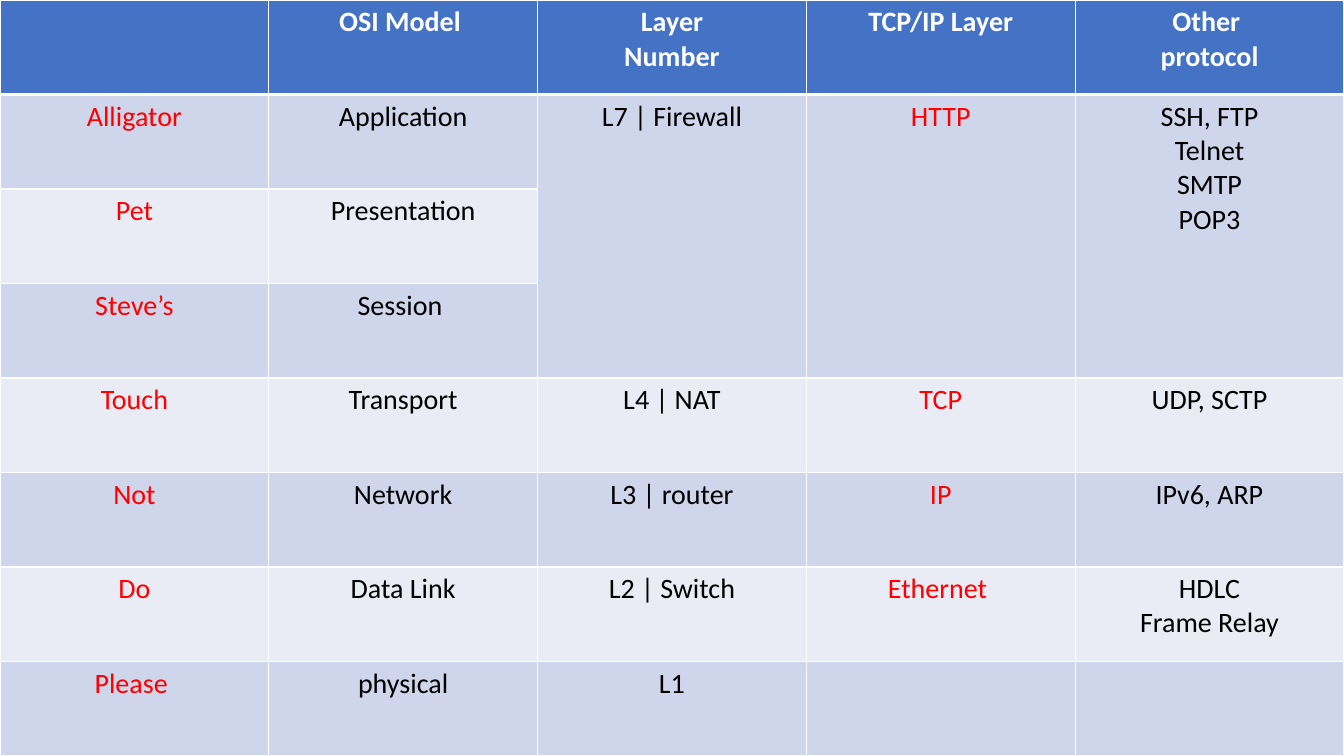
from lxml.etree import SubElement
from pptx import Presentation
from pptx.dml.color import RGBColor
from pptx.enum.text import PP_ALIGN
from pptx.oxml.ns import qn
from pptx.util import Pt

THEME = {
    "font": "Calibri", "size": 20,
    "head": "4472C4", "dark": "CFD5EA", "light": "E9EBF5",
    "white": "FFFFFF", "black": "000000", "red": "FF0000",
    "thin": 1, "thick": 3,
}
WIDTH, HEIGHT = 960, 540
RED_COLS = (0, 3)

ROWS = [
    ["", "OSI Model ", "Layer\nNumber", "TCP/IP Layer", "Other \nprotocol"],
    ["Alligator", "Application", "L7 | Firewall", "HTTP",
     "SSH, FTP\nTelnet\nSMTP\nPOP3"],
    ["Pet", "Presentation", "", "", ""],
    ["Steve’s", "Session ", "", "", ""],
    ["Touch", "Transport", "L4 | NAT", "TCP", "UDP, SCTP"],
    ["Not", "Network", "L3 | router", "IP", "IPv6, ARP"],
    ["Do", "Data Link", "L2 | Switch", "Ethernet ", "HDLC\nFrame Relay"],
    ["Please ", "physical", "L1", "", ""],
]


def color(name):
    """Return the theme color with this name."""
    return RGBColor.from_string(THEME[name])


def edge(cell, side, width):
    """Draw one white border on a cell; call before the fill is set."""
    line = SubElement(cell._tc.get_or_add_tcPr(), qn(f"a:ln{side}"),
                      w=str(Pt(width)))
    fill = SubElement(line, qn("a:solidFill"))
    SubElement(fill, qn("a:srgbClr"), val=THEME["white"])


deck = Presentation()
deck.slide_width, deck.slide_height = Pt(WIDTH), Pt(HEIGHT)
slide = deck.slides.add_slide(deck.slide_layouts[6])

count = len(ROWS[0])
table = slide.shapes.add_table(len(ROWS), count, Pt(0), Pt(0),
                               Pt(WIDTH), Pt(HEIGHT)).table
for col in table.columns:
    col.width = Pt(WIDTH / count)
for row in table.rows:
    row.height = Pt(HEIGHT / len(ROWS))

# The top three OSI layers share one cell in each right-hand column
for c in range(2, count):
    table.cell(1, c).merge(table.cell(3, c))

for r, row in enumerate(ROWS):
    for c, text in enumerate(row):
        cell = table.cell(r, c)
        for side in "LRTB":
            under = (r, side) in ((0, "B"), (1, "T"))
            edge(cell, side, THEME["thick" if under else "thin"])
        band = "head" if r == 0 else "dark" if r % 2 else "light"
        cell.fill.solid()
        cell.fill.fore_color.rgb = color(band)

        cell.text_frame.text = text
        ink = "white" if r == 0 else "red" if c in RED_COLS else "black"
        for para in cell.text_frame.paragraphs:
            para.alignment = PP_ALIGN.CENTER
            for run in para.runs:
                run.font.name = THEME["font"]
                run.font.size = Pt(THEME["size"])
                run.font.bold = r == 0
                run.font.color.rgb = color(ink)

deck.save("out.pptx")
